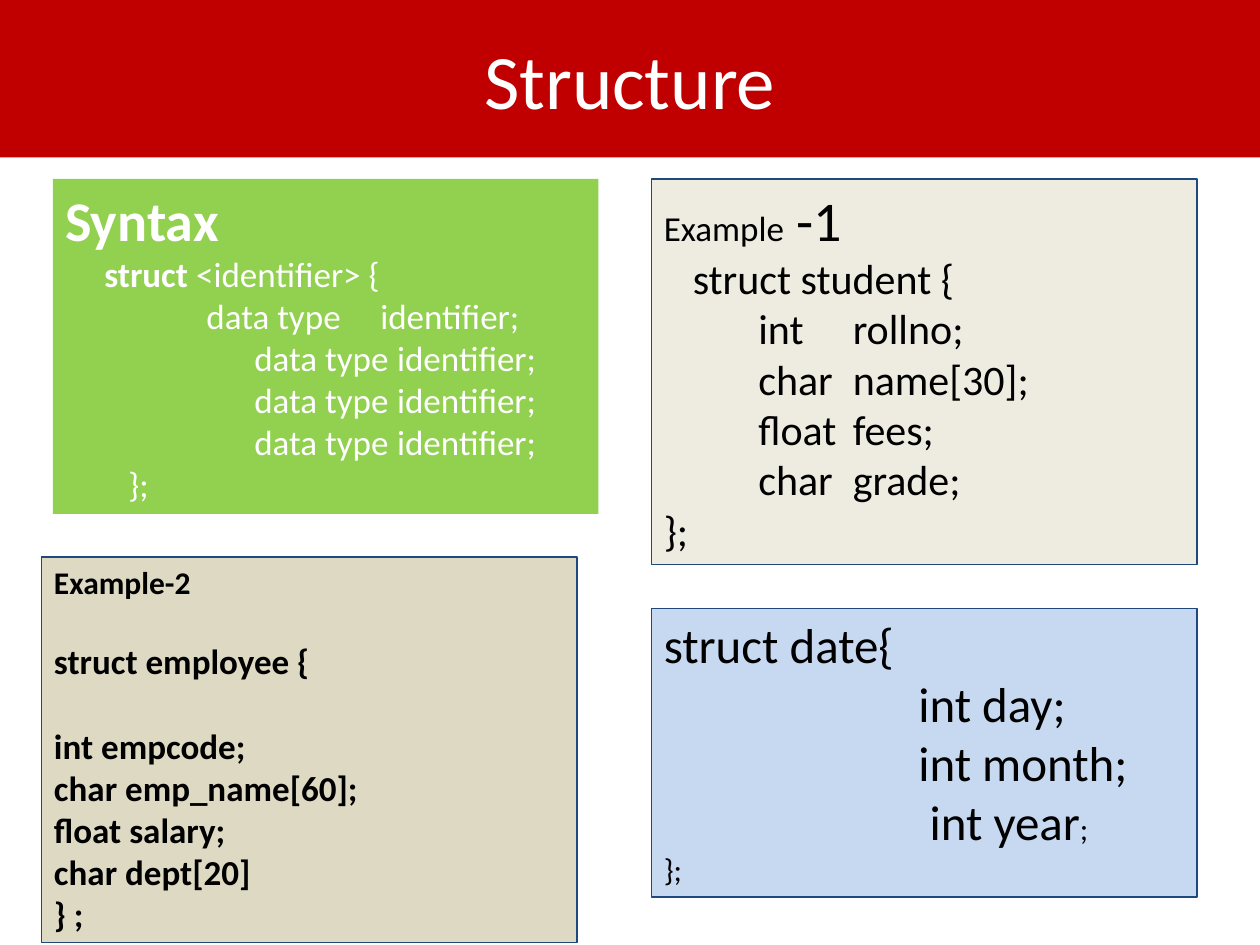
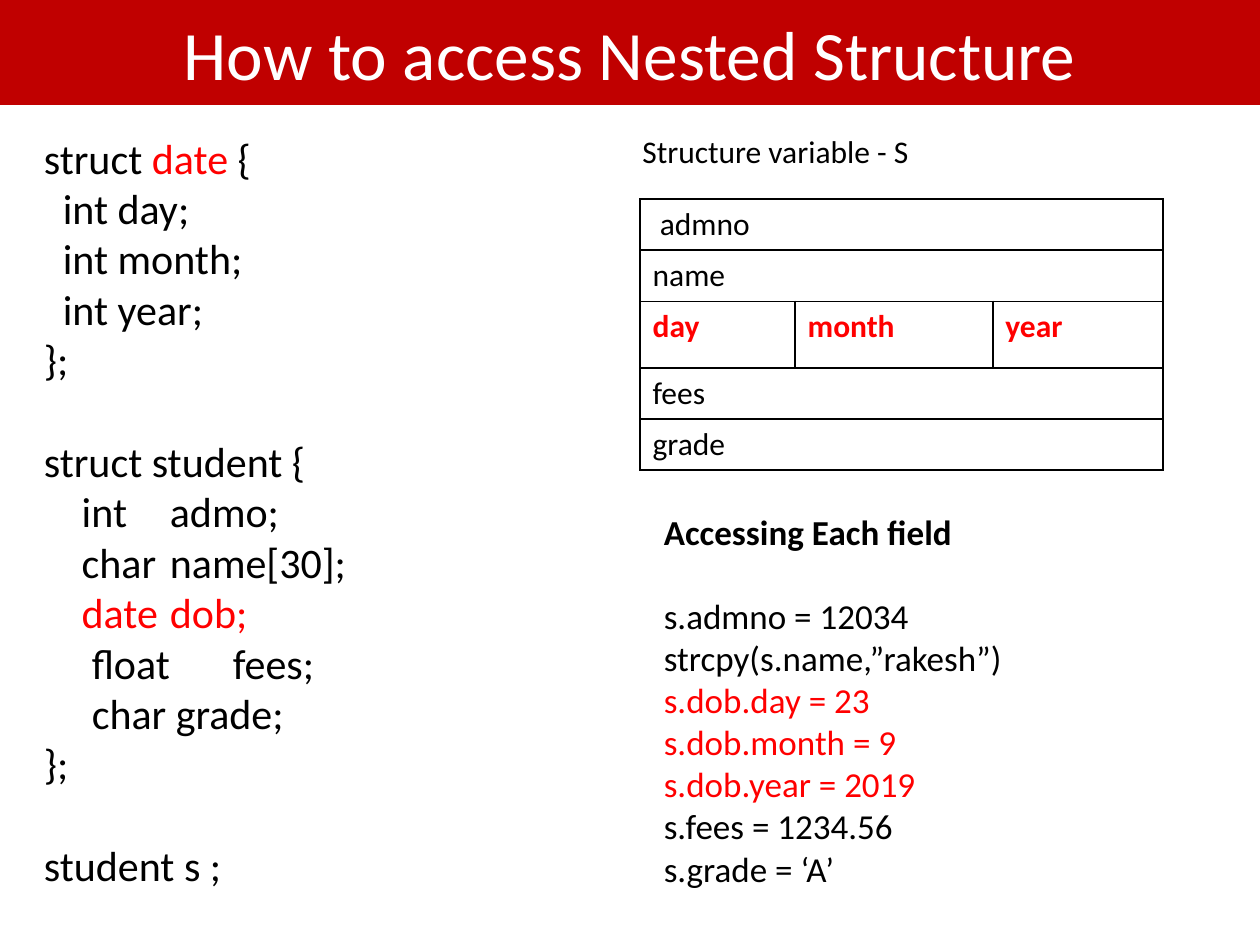
"""Build two slides on C structures: code panels and access to a nested structure."""
from lxml import etree
from pptx import Presentation
from pptx.dml.color import RGBColor
from pptx.enum.shapes import MSO_SHAPE as Shape
from pptx.enum.text import MSO_ANCHOR as Anchor, MSO_AUTO_SIZE as AutoSize, PP_ALIGN as Align
from pptx.oxml.ns import qn
from pptx.util import Inches, Pt

FONT, WHITE, BLACK, RED = "Calibri", "FFFFFF", "000000", "FF0000"
BAND, EDGE = "C00000", "1F497D"
WIDTH, HEIGHT = 10, 7.5
LINE_RATIO = 1.22

FIELD = "data type\tidentifier;"
DEEP_FIELD = (FIELD, {"indent": 1.5, "tab": 2.81})
MEMBER = {"indent": 0.75, "tab": 1.58}
DATE_FIELD = {"indent": 2.02}
INNER = {"indent": 0.15}
STUDENT_FIELD = {"indent": 0.3, "tab": 1.12}

PANELS = [
    {"at": (0.42, 1.42, 4.33, 2.66), "fill": "92D050", "size": 20, "color": WHITE, "lines": [
        ([("Syntax", {"size": 32, "bold": True})], {}),
        ([("struct ", {"bold": True}), ("<identifier> {", {})], {"indent": 0.31}),
        (FIELD, {"indent": 1.12, "tab": 2.44}),
        DEEP_FIELD, DEEP_FIELD, DEEP_FIELD,
        ("};", {"indent": 0.5})]},
    {"at": (5.17, 1.42, 4.33, 3.06), "fill": "EEECE1", "edge": EDGE, "size": 24, "lines": [
        ([("Example", {"size": 20}), (" -1", {"size": 32})], {}),
        ("struct student {", {"indent": 0.23}),
        ("int\trollno;", MEMBER),
        ("char\tname[30];", MEMBER),
        ("float\tfees;", MEMBER),
        ("char\tgrade;", MEMBER),
        ("};", {})]},
    {"at": (0.33, 4.42, 4.25, 3.06), "fill": "DDD9C3", "edge": EDGE, "size": 20, "bold": True,
     "lines": [
        ([("Example-2", {"size": 18})], {}),
        ("struct employee {", {"gap": 18}),
        ("int empcode;", {"gap": 20}),
        ("char emp_name[60];", {}),
        ("float salary;", {}),
        ("char dept[20]", {}),
        ("} ;", {})]},
    {"at": (5.17, 4.83, 4.33, 2.29), "fill": "C6D9F1", "edge": EDGE, "size": 28, "lines": [
        ("struct date{", {}),
        ("int day;", DATE_FIELD),
        ("int month;", DATE_FIELD),
        ([("int year", {}), (";", {"size": 18})], {"indent": 2.11}),
        ([("};", {"size": 18})], {})]},
]

NOTES = [
    {"at": (0.25, 1, 3.25, 6.46), "size": 24, "lines": [
        ([("struct ", {}), ("date", {"color": RED}), (" {", {})], {}),
        ("int day;", INNER),
        ("int month;", INNER),
        ("int year;", INNER),
        ("};", {}),
        ("struct student {", {"gap": 24}),
        ("int\tadmo;", STUDENT_FIELD),
        ("char\tname[30];", STUDENT_FIELD),
        ([("date\tdob;", {"color": RED})], STUDENT_FIELD),
        ("float\tfees;", {"indent": 0.38, "tab": 1.22}),
        ("char grade;", {"indent": 0.38}),
        ("};", {}),
        ("student s ;", {"gap": 24})]},
    {"at": (5.17, 4, 4, 3.13), "size": 20, "lines": [
        ([("Accessing Each field", {"bold": True})], {}),
        ("s.admno = 12034", {"gap": 20}),
        ("strcpy(s.name,”rakesh”)", {}),
        ([("s.dob.day = 23", {"color": RED})], {}),
        ([("s.dob.month = 9", {"color": RED})], {}),
        ([("s.dob.year = 2019", {"color": RED})], {}),
        ("s.fees = 1234.56", {}),
        ("s.grade = ‘A’", {})]},
    {"at": (5, 1, 4.33, 0.42), "size": 18, "lines": [("Structure variable - S", {})]},
]

RECORD = [[" admno"], ["name"], ["day", "month", "year"], ["fees"], ["grade"]]
RECORD_AT = (5.08, 1.58, 4.15, 2.13)
RECORD_COLUMNS = (1.23, 1.57, 1.35)
RECORD_ROWS = (0.4, 0.4, 0.53, 0.4, 0.4)


def rgb(value):
    """Turn a hex string into a colour."""
    return RGBColor.from_string(value)


def place(at):
    """Turn a box in inches into slide lengths."""
    return [Inches(length) for length in at]


def paint(shape, fill):
    """Fill a shape or cell with one colour."""
    shape.fill.solid()
    shape.fill.fore_color.rgb = rgb(fill)


def add_span(para, text, size=18, color=BLACK, bold=False):
    """Add one formatted run to a paragraph."""
    span = para.add_run()
    span.text = text
    span.font.name, span.font.size, span.font.bold = FONT, Pt(size), bold
    span.font.color.rgb = rgb(color)


def lay_out(para, indent=0, tab=None, gap=0):
    """Set the first-line indent, tab stop and leading gap of a paragraph."""
    para.alignment = Align.LEFT
    para.space_before = Pt(gap * LINE_RATIO)
    props = para._p.get_or_add_pPr()
    props.set("marL", "0")
    props.set("indent", str(Inches(indent)))
    if tab:
        stops = etree.SubElement(props, qn("a:tabLst"))
        etree.SubElement(stops, qn("a:tab"), pos=str(Inches(tab)), algn="l")


def write_lines(frame, lines, **style):
    """Write code lines, each a string or a list of spans, into a text frame."""
    frame.word_wrap = True
    frame.auto_size = AutoSize.SHAPE_TO_FIT_TEXT
    frame.vertical_anchor = Anchor.TOP
    for index, (content, layout) in enumerate(lines):
        para = frame.add_paragraph() if index else frame.paragraphs[0]
        lay_out(para, **layout)
        spans = [(content, {})] if isinstance(content, str) else content
        for text, changes in spans:
            add_span(para, text, **{**style, **changes})


def add_page(deck, title, band_height, size):
    """Add a slide with the red title band."""
    page = deck.slides.add_slide(deck.slide_layouts[5])
    band = page.shapes.title
    band.left, band.top, band.width, band.height = place((0, 0, WIDTH, band_height))
    paint(band, BAND)
    frame = band.text_frame
    frame.auto_size = AutoSize.NONE
    frame.vertical_anchor = Anchor.MIDDLE
    frame.paragraphs[0].alignment = Align.CENTER
    add_span(frame.paragraphs[0], title, size=size, color=WHITE)
    return page


def add_panel(page, at, fill, lines, edge=None, **style):
    """Add a filled rectangle of code."""
    box = page.shapes.add_shape(Shape.RECTANGLE, *place(at))
    box.shadow.inherit = False
    paint(box, fill)
    if edge:
        box.line.color.rgb = rgb(edge)
        box.line.width = Pt(0.75)
    else:
        box.line.fill.background()
    write_lines(box.text_frame, lines, **style)


def add_note(page, at, lines, **style):
    """Add a plain text box of code."""
    write_lines(page.shapes.add_textbox(*place(at)).text_frame, lines, **style)


def outline(cell):
    """Draw a thin black border on all sides of a cell."""
    props = cell._tc.get_or_add_tcPr()
    for side in ("lnL", "lnR", "lnT", "lnB"):
        line = etree.SubElement(props, qn(f"a:{side}"), w=str(Pt(1)))
        fill = etree.SubElement(line, qn("a:solidFill"))
        etree.SubElement(fill, qn("a:srgbClr"), val=BLACK)


def add_record(page):
    """Add the table of the structure's fields, single fields spanning the row."""
    table = page.shapes.add_table(len(RECORD), len(RECORD_COLUMNS), *place(RECORD_AT)).table
    table.first_row = table.horz_banding = False
    for column, width in zip(table.columns, RECORD_COLUMNS):
        column.width = Inches(width)
    for index, (names, height) in enumerate(zip(RECORD, RECORD_ROWS)):
        table.rows[index].height = Inches(height)
        nested = len(names) > 1
        if not nested:
            table.cell(index, 0).merge(table.cell(index, len(RECORD_COLUMNS) - 1))
        for column in range(len(RECORD_COLUMNS)):
            cell = table.cell(index, column)
            outline(cell)
            cell.fill.background()
            if column < len(names):
                add_span(cell.text_frame.paragraphs[0], names[column],
                         color=RED if nested else BLACK, bold=nested)


def build():
    """Build and save the deck."""
    deck = Presentation()
    deck.slide_width, deck.slide_height = Inches(WIDTH), Inches(HEIGHT)
    page = add_page(deck, "Structure", HEIGHT / 6, 44)
    for panel in PANELS:
        add_panel(page, **panel)
    page = add_page(deck, "How to access Nested Structure", HEIGHT / 9, 39.6)
    add_record(page)
    for note in NOTES:
        add_note(page, **note)
    deck.save("out.pptx")


build()
